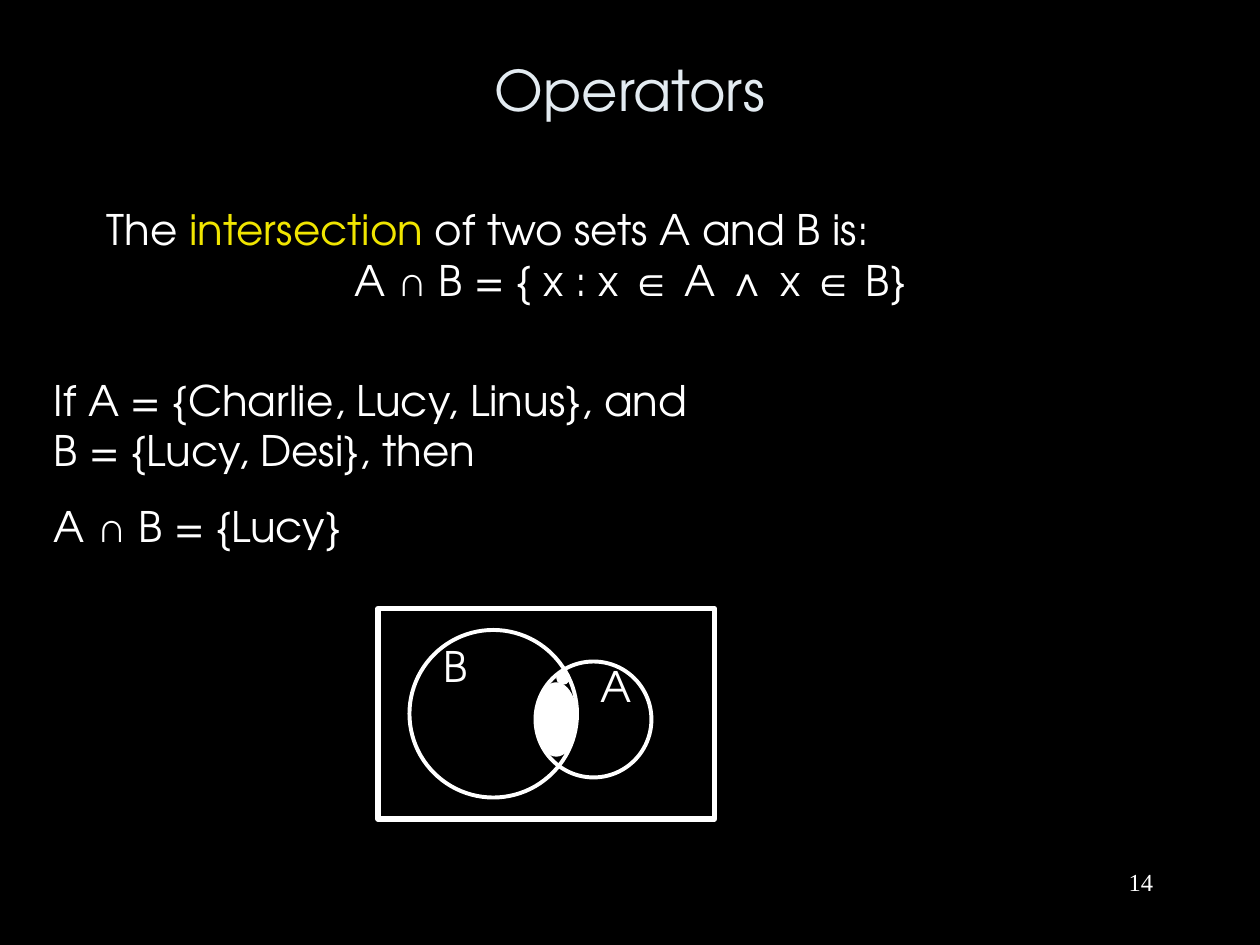
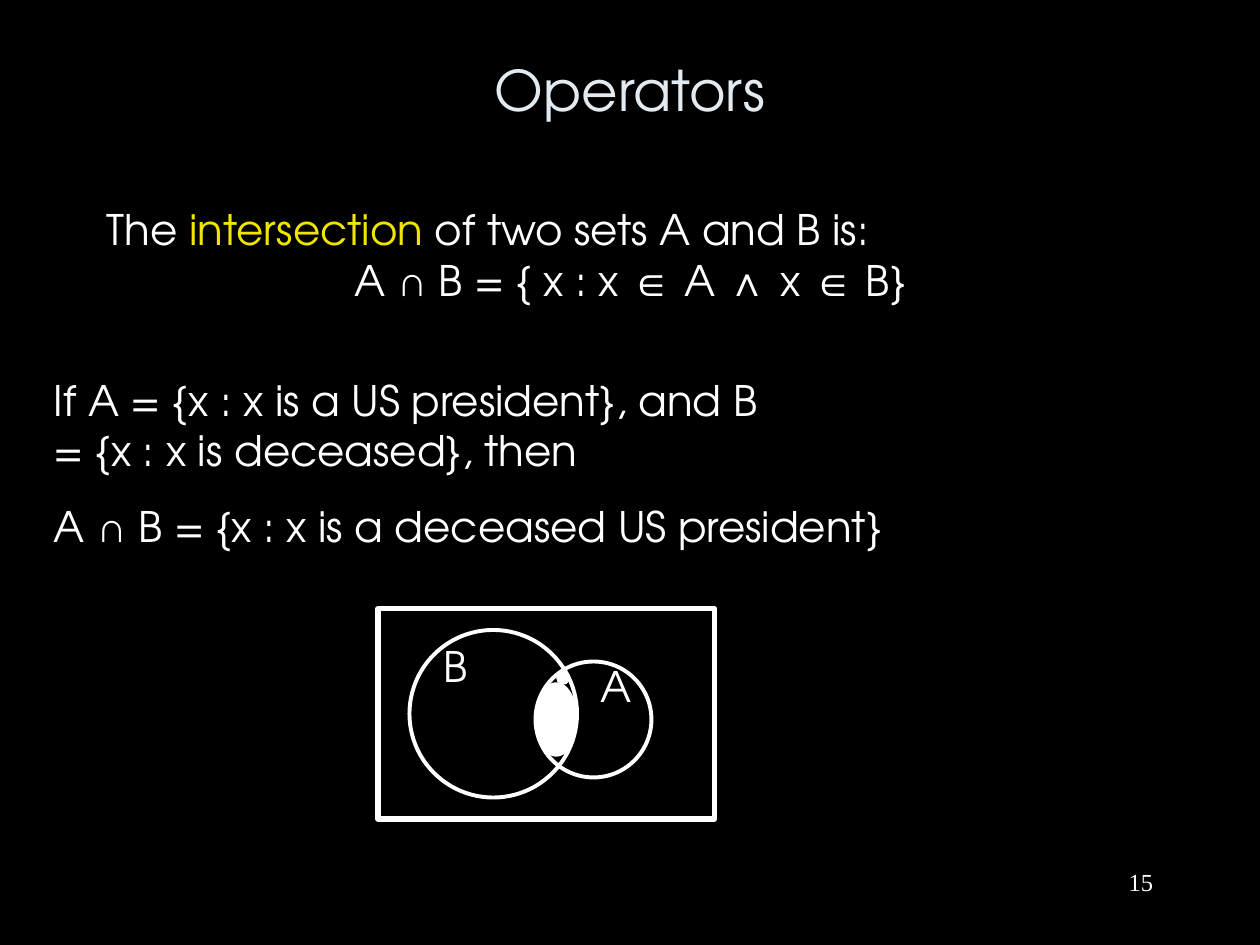
from dataclasses import dataclass
from itertools import groupby

from pptx import Presentation
from pptx.dml.color import RGBColor
from pptx.enum.shapes import MSO_SHAPE as Shape
from pptx.enum.text import MSO_ANCHOR as Anchor, PP_ALIGN as Align
from pptx.util import Inches, Pt


@dataclass(frozen=True)
class Theme:
    background: RGBColor = RGBColor.from_string("000000")
    text: RGBColor = RGBColor.from_string("FFFFFF")
    title: RGBColor = RGBColor.from_string("E3EBF1")
    highlight: RGBColor = RGBColor.from_string("F0E500")
    font: str = "TeX Gyre Adventor"
    symbol_font: str = "Arial"
    number_font: str = "Times New Roman"
    title_size: int = 32
    body_size: int = 24
    number_size: int = 14


theme = Theme()
SYMBOLS = "∩∈∧"
DEFINITION = [
    "The intersection of two sets A and B is:",
    "A ∩ B = { x : x ∈ A ∧ x ∈ B}",
]
EXAMPLES = [
    {
        "number": 14,
        "premise": "If A = {Charlie, Lucy, Linus}, and B = {Lucy, Desi}, then",
        "premise_width": 5.5,
        "result": "A ∩ B = {Lucy}",
    },
    {
        "number": 15,
        "premise": "If A = {x : x is a US president}, and B = {x : x is deceased}, then",
        "premise_width": 5.83,
        "result": "A ∩ B = {x : x is a deceased US president}",
    },
]
SET_LABELS = {"A": (4.67, 5.24, 0.42, 0.5), "B": (3.42, 5.08, 0.5, 0.58)}
UNIVERSE = (3, 4.83, 2.67, 1.67)
CIRCLE_B = (3.25, 5, 1.33, 1.33)
CIRCLE_A = (4.25, 5.25, 0.92, 0.92)
OVERLAP = (4.25, 5.42, 0.33, 0.58)
DOT_SIZE = 0.1
DOT_CORNERS = [(4.42, 5.67), (4.33, 5.83), (4.42, 5.33), (4.33, 5.5), (4.33, 5.65)]


def add_text(shapes, box, lines, size=theme.body_size, color=theme.text,
             font=theme.font, align=Align.LEFT):
    """Add a text box with one paragraph per line, set symbols in their own font."""
    text_frame = shapes.add_textbox(*map(Inches, box)).text_frame
    text_frame.word_wrap = True
    for index, line in enumerate(lines):
        paragraph = text_frame.add_paragraph() if index else text_frame.paragraphs[0]
        paragraph.alignment = align
        for is_symbol, letters in groupby(line, key=lambda letter: letter in SYMBOLS):
            run = paragraph.add_run()
            run.text = "".join(letters)
            run.font.name = theme.symbol_font if is_symbol else font
            run.font.size = Pt(size)
            run.font.color.rgb = color
    return text_frame


def add_outline(shapes, kind, box, line_width, filled=False):
    shape = shapes.add_shape(kind, *map(Inches, box))
    shape.shadow.inherit = False
    shape.line.color.rgb = theme.text
    shape.line.width = Pt(line_width)
    if filled:
        shape.fill.solid()
        shape.fill.fore_color.rgb = theme.text
    else:
        shape.fill.background()


presentation = Presentation()
presentation.slide_width = Inches(10)
presentation.slide_height = Inches(7.5)
blank_layout = presentation.slide_layouts[6]

for example in EXAMPLES:
    slide = presentation.slides.add_slide(blank_layout)
    slide.background.fill.solid()
    slide.background.fill.fore_color.rgb = theme.background

    title = add_text(slide.shapes, (0.75, 0.22, 8.5, 0.97), ["Operators"],
                     theme.title_size, theme.title, align=Align.CENTER)
    title.vertical_anchor = Anchor.MIDDLE

    definition = add_text(slide.shapes, (0.75, 1.57, 8.5, 5.1), DEFINITION)
    sentence, formula = definition.paragraphs
    formula.alignment = Align.CENTER
    before, term, after = sentence.runs[0].text.partition("intersection")
    sentence.runs[0].text = before
    for text, color in [(term, theme.highlight), (after, theme.text)]:
        run = sentence.add_run()
        run.text = text
        run.font.name = theme.font
        run.font.size = Pt(theme.body_size)
        run.font.color.rgb = color

    add_text(slide.shapes, (0.33, 2.92, example["premise_width"], 0.92), [example["premise"]])
    add_text(slide.shapes, (0.33, 3.92, 8, 0.58), [example["result"]])

    venn = slide.shapes.add_group_shape().shapes
    add_outline(venn, Shape.RECTANGLE, UNIVERSE, 3)
    for circle in (CIRCLE_B, CIRCLE_A):
        add_outline(venn, Shape.OVAL, circle, 2.25)
    add_outline(venn, Shape.OVAL, OVERLAP, 0.75, filled=True)
    for left, top in DOT_CORNERS:
        add_outline(venn, Shape.OVAL, (left, top, DOT_SIZE, DOT_SIZE), 0.75, filled=True)
    for name, box in SET_LABELS.items():
        label = add_text(venn, box, [name])
        label.paragraphs[0].line_spacing = 0.9

    add_text(slide.shapes, (7.17, 6.83, 2.08, 0.5), [str(example["number"])],
             theme.number_size, font=theme.number_font, align=Align.RIGHT)

presentation.save("out.pptx")
